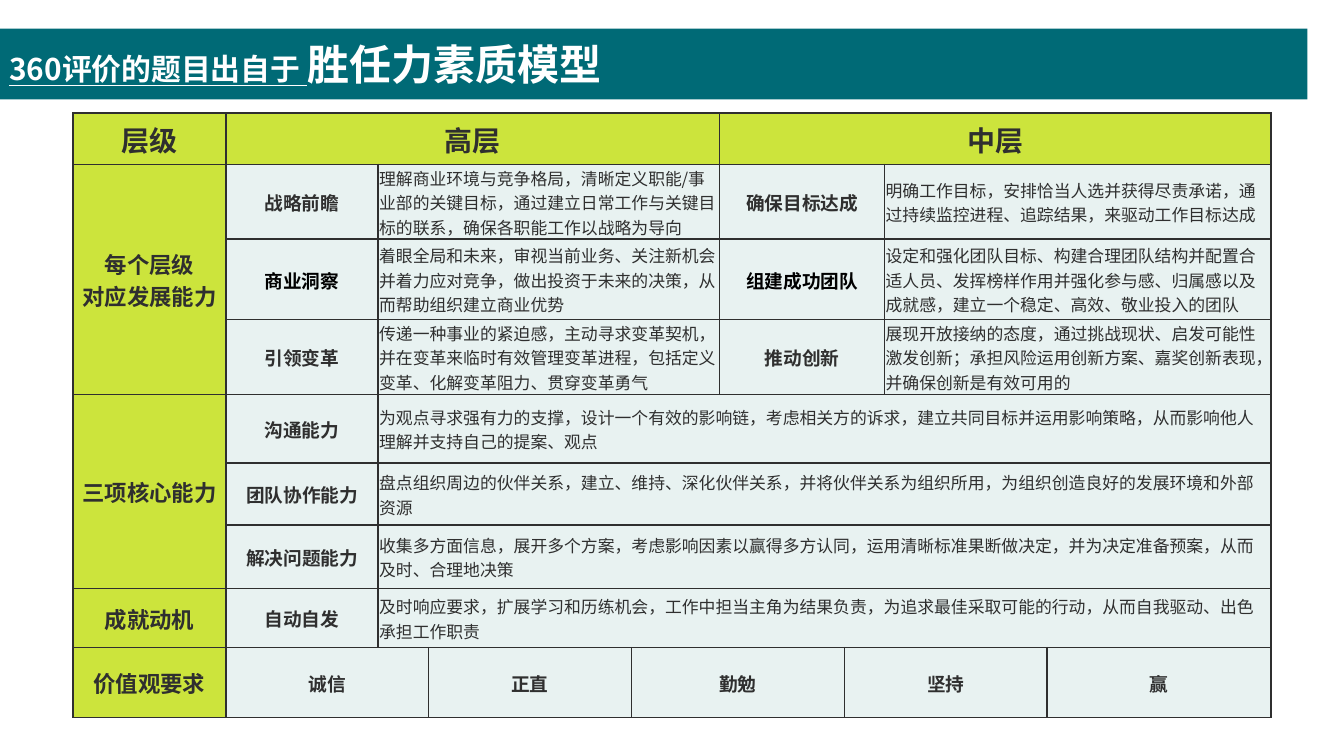
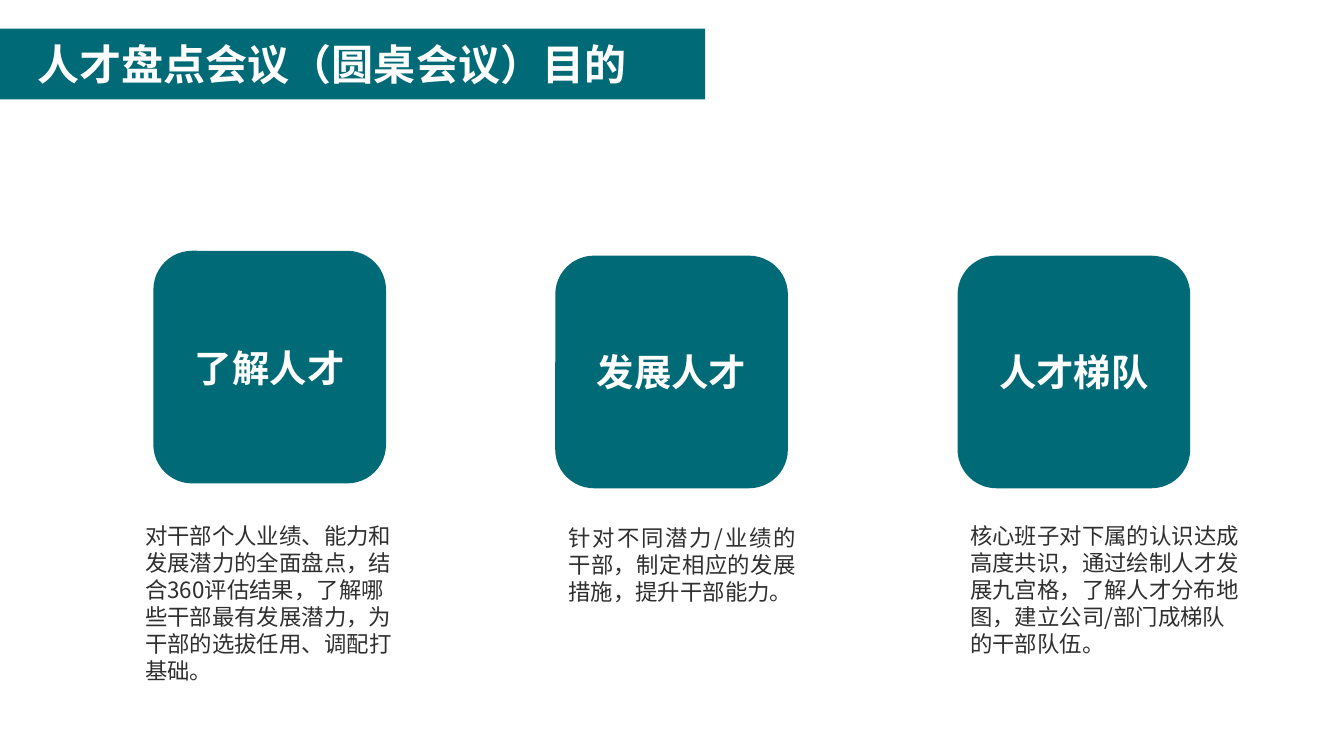
from typing import NamedTuple

from lxml import etree
from pptx import Presentation
from pptx.dml.color import RGBColor
from pptx.enum import shapes, text
from pptx.oxml import ns
from pptx.util import Pt

FACE = "Noto Sans CJK SC"
TEAL, LIME, MIST = "006A76", "CCE43C", "E8F2F1"
INK, BLACK, WHITE = "2F2F2F", "000000", "FFFFFF"
LEFT, CENTER, JUSTIFY = (
    text.PP_ALIGN.LEFT, text.PP_ALIGN.CENTER, text.PP_ALIGN.JUSTIFY
)


class Style(NamedTuple):
    size: float
    bold: bool = True
    color: str = INK
    align: text.PP_ALIGN = CENTER
    fill: str = MIST


class Cell(NamedTuple):
    words: str
    style: Style
    across: int = 1
    down: int = 1


class Purpose(NamedTuple):
    name: str
    tile_left: float
    tile_top: float
    detail: str
    left: float
    top: float
    width: float
    height: float
    align: text.PP_ALIGN = LEFT


TIER = Style(15, fill=LIME)
GROUP = Style(12, fill=LIME)
ABILITY = Style(10)
KEY_ABILITY = Style(10, color=BLACK)
MEANING = Style(9, bold=False, align=LEFT)
BANNER = Style(22.5, color=WHITE, align=LEFT)
TILE = Style(20, color=WHITE)

COLUMN_WIDTHS = [82, 81.4, 27.2, 108.6, 47.3, 66.9, 21.4, 87, 120]
ROW_HEIGHTS = [27.4, 40, 43.2, 40, 36.9, 33.1, 34.1, 31.7, 37.4]

MODEL = [
    [Cell("层级", TIER), Cell("高层", TIER, 4), Cell("中层", TIER, 4)],
    [
        Cell("每个层级\n对应发展能力", GROUP, down=3),
        Cell("战略前瞻", ABILITY),
        Cell("理解商业环境与竞争格局，清晰定义职能/事业部的关键目标，"
             "通过建立日常工作与关键目标的联系，确保各职能工作以战略为导向", MEANING, 3),
        Cell("确保目标达成", ABILITY, 2),
        Cell("明确工作目标，安排恰当人选并获得尽责承诺，"
             "通过持续监控进程、追踪结果，来驱动工作目标达成", MEANING, 2),
    ],
    [
        Cell("商业洞察", KEY_ABILITY),
        Cell("着眼全局和未来，审视当前业务、关注新机会并着力应对竞争，"
             "做出投资于未来的决策，从而帮助组织建立商业优势", MEANING, 3),
        Cell("组建成功团队", KEY_ABILITY, 2),
        Cell("设定和强化团队目标、构建合理团队结构并配置合适人员、"
             "发挥榜样作用并强化参与感、归属感以及成就感，"
             "建立一个稳定、高效、敬业投入的团队", MEANING, 2),
    ],
    [
        Cell("引领变革", ABILITY),
        Cell("传递一种事业的紧迫感，主动寻求变革契机，"
             "并在变革来临时有效管理变革进程，"
             "包括定义变革、化解变革阻力、贯穿变革勇气", MEANING, 3),
        Cell("推动创新", ABILITY, 2),
        Cell("展现开放接纳的态度，通过挑战现状、启发可能性激发创新；"
             "承担风险运用创新方案、嘉奖创新表现，并确保创新是有效可用的", MEANING, 2),
    ],
    [
        Cell("三项核心能力", GROUP, down=3),
        Cell("沟通能力", ABILITY),
        Cell("为观点寻求强有力的支撑，设计一个有效的影响链，考虑相关方的诉求，"
             "建立共同目标并运用影响策略，从而影响他人理解并支持自己的提案、观点", MEANING, 7),
    ],
    [
        Cell("团队协作能力", ABILITY),
        Cell("盘点组织周边的伙伴关系，建立、维持、深化伙伴关系，"
             "并将伙伴关系为组织所用，为组织创造良好的发展环境和外部资源", MEANING, 7),
    ],
    [
        Cell("解决问题能力", ABILITY),
        Cell("收集多方面信息，展开多个方案，考虑影响因素以赢得多方认同，"
             "运用清晰标准果断做决定，并为决定准备预案，从而及时、合理地决策", MEANING, 7),
    ],
    [
        Cell("成就动机", GROUP),
        Cell("自动自发", ABILITY),
        Cell("及时响应要求，扩展学习和历练机会，工作中担当主角为结果负责，"
             "为追求最佳采取可能的行动，从而自我驱动、出色承担工作职责", MEANING, 7),
    ],
    [
        Cell("价值观要求", GROUP),
        Cell("诚信", ABILITY, 2),
        Cell("正直", ABILITY),
        Cell("勤勉", ABILITY, 2),
        Cell("坚持", ABILITY, 2),
        Cell("赢", ABILITY),
    ],
]

PURPOSES = [
    Purpose("了解人才", 82.2, 134.4,
            "对干部个人业绩、能力和发展潜力的全面盘点，结合360评估结果，"
            "了解哪些干部最有发展潜力，为干部的选拔任用、调配打基础。",
            70.6, 275.8, 147.6, 94.3),
    Purpose("发展人才", 297.5, 137,
            "针对不同潜力/业绩的干部，制定相应的发展措施，提升干部能力。",
            297.4, 277.2, 136.1, 51.1, JUSTIFY),
    Purpose("人才梯队", 513, 137,
            "核心班子对下属的认识达成高度共识，通过绘制人才发展九宫格，"
            "了解人才分布地图，建立公司/部门成梯队的干部队伍。",
            512.6, 275.8, 159.1, 79.9),
]


def rgb(color: str) -> RGBColor:
    return RGBColor.from_string(color)


def set_font(font, style: Style) -> None:
    font.name = FACE
    font.size = Pt(style.size)
    font.bold = style.bold
    font.color.rgb = rgb(style.color)
    etree.SubElement(font._element, ns.qn("a:ea"), typeface=FACE)


def write(frame, words: str, style: Style):
    paragraph = frame.paragraphs[0]
    paragraph.text = words
    paragraph.alignment = style.align
    set_font(paragraph.font, style)
    return paragraph


def add_block(slide, kind, left: float, top: float, width: float, height: float):
    block = slide.shapes.add_shape(kind, Pt(left), Pt(top), Pt(width), Pt(height))
    block.shadow.inherit = False
    block.fill.solid()
    block.fill.fore_color.rgb = rgb(TEAL)
    block.line.fill.background()
    block.text_frame.word_wrap = True
    block.text_frame.vertical_anchor = text.MSO_ANCHOR.MIDDLE
    return block


def add_banner(slide, title: str, width: float, inset: float = 5):
    banner = add_block(slide, shapes.MSO_SHAPE.RECTANGLE, 0, 15.3, width, 38)
    frame = banner.text_frame
    frame.margin_left, frame.margin_right = Pt(inset), Pt(5)
    frame.margin_top = frame.margin_bottom = Pt(2.9)
    return write(frame, title, BANNER)


def add_borders(cell) -> None:
    properties = cell._tc.get_or_add_tcPr()
    for place, side in enumerate(("lnL", "lnR", "lnT", "lnB")):
        edge = etree.Element(ns.qn(f"a:{side}"), w=str(Pt(1)))
        fill = etree.SubElement(edge, ns.qn("a:solidFill"))
        etree.SubElement(fill, ns.qn("a:srgbClr"), val=INK)
        properties.insert(place, edge)


def add_model(slide) -> None:
    model = slide.shapes.add_table(
        len(ROW_HEIGHTS), len(COLUMN_WIDTHS), Pt(39.1), Pt(60.7),
        Pt(sum(COLUMN_WIDTHS)), Pt(sum(ROW_HEIGHTS)),
    ).table
    model.first_row = model.horz_banding = False
    for column, width in zip(model.columns, COLUMN_WIDTHS):
        column.width = Pt(width)
    for row, height in zip(model.rows, ROW_HEIGHTS):
        row.height = Pt(height)
    for row, entries in enumerate(MODEL):
        column = 0
        for entry in entries:
            while model.cell(row, column).is_spanned:
                column += 1
            cell = model.cell(row, column)
            if entry.across * entry.down > 1:
                cell.merge(model.cell(row + entry.down - 1, column + entry.across - 1))
            write(cell.text_frame, entry.words, entry.style)
            cell.vertical_anchor = text.MSO_ANCHOR.MIDDLE
            cell.margin_left = cell.margin_right = cell.margin_top = Pt(0.7)
            cell.margin_bottom = Pt(0)
            for down in range(entry.down):
                for across in range(entry.across):
                    part = model.cell(row + down, column + across)
                    part.fill.solid()
                    part.fill.fore_color.rgb = rgb(entry.style.fill)
                    add_borders(part)
            column += entry.across


def add_purpose(slide, purpose: Purpose) -> None:
    tile = add_block(slide, shapes.MSO_SHAPE.ROUNDED_RECTANGLE,
                     purpose.tile_left, purpose.tile_top, 124.6, 124.6)
    write(tile.text_frame, purpose.name, TILE)
    detail = slide.shapes.add_textbox(
        Pt(purpose.left), Pt(purpose.top), Pt(purpose.width), Pt(purpose.height)
    ).text_frame
    detail.word_wrap = True
    detail.auto_size = text.MSO_AUTO_SIZE.SHAPE_TO_FIT_TEXT
    style = Style(12, bold=False, align=purpose.align)
    write(detail, purpose.detail, style).line_spacing = Pt(14.5)


def main() -> None:
    deck = Presentation()
    deck.slide_width, deck.slide_height = Pt(720), Pt(405)
    blank = deck.slide_layouts[6]

    competency = deck.slides.add_slide(blank)
    headline = add_banner(competency, "360评价的题目出自于 ", 700.4)
    source = headline.runs[0].font
    source.size = Pt(16)
    source.underline = True
    headline.add_run().text = "胜任力素质模型"
    add_model(competency)

    meeting = deck.slides.add_slide(blank)
    add_banner(meeting, "人才盘点会议（圆桌会议）目的", 377.8, inset=20)
    for purpose in PURPOSES:
        add_purpose(meeting, purpose)

    deck.save("out.pptx")


if __name__ == "__main__":
    main()
